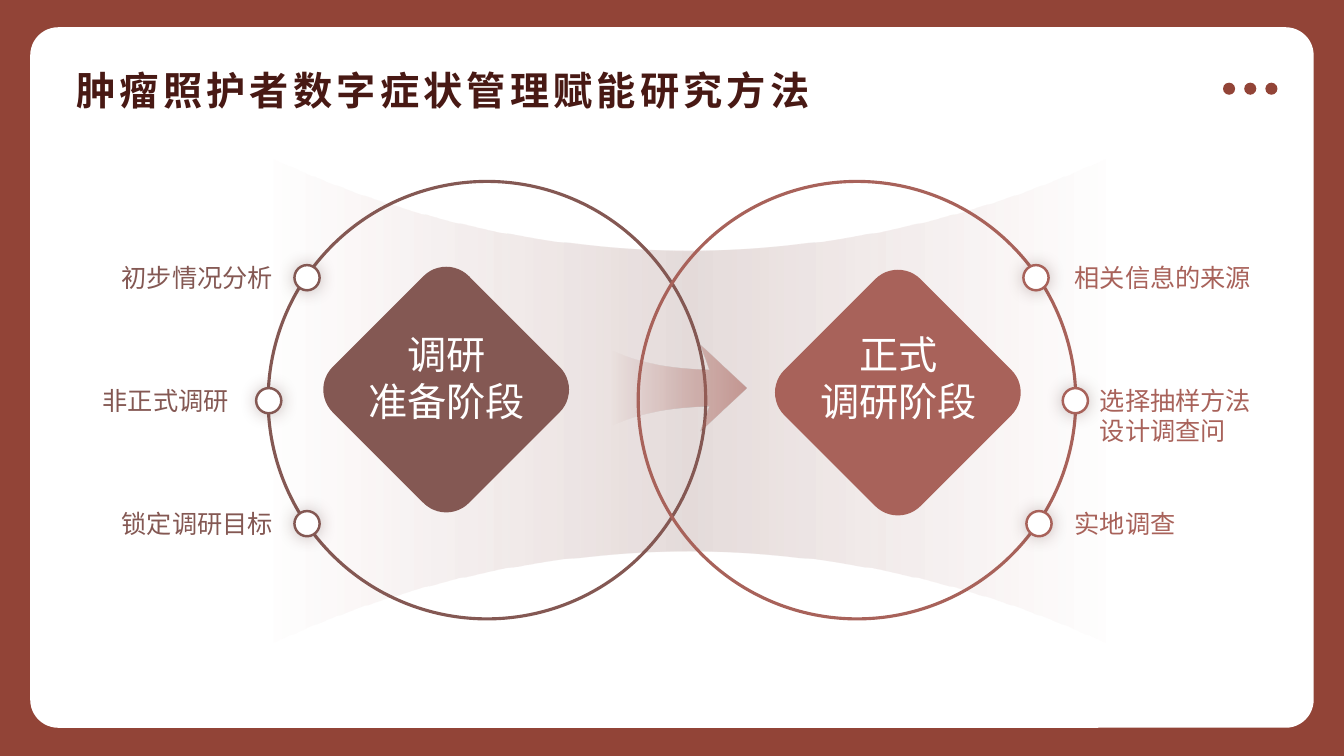
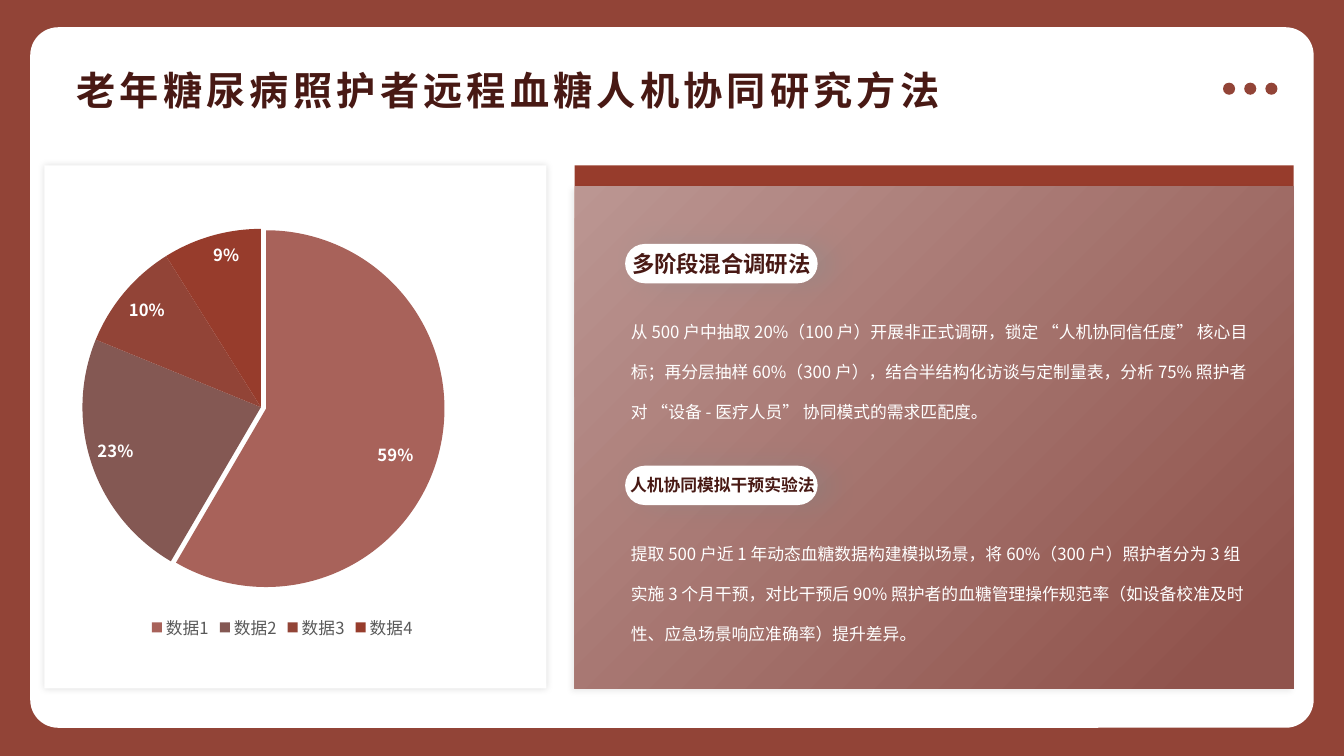
from lxml import etree
from pptx import Presentation
from pptx.chart.data import CategoryChartData
from pptx.dml.color import RGBColor
from pptx.enum.chart import XL_CHART_TYPE, XL_LABEL_POSITION, XL_LEGEND_POSITION
from pptx.enum.shapes import MSO_SHAPE
from pptx.enum.text import MSO_ANCHOR, MSO_AUTO_SIZE, PP_ALIGN
from pptx.oxml import parse_xml
from pptx.oxml.ns import nsdecls, qn
from pptx.util import Inches, Pt

RECT = MSO_SHAPE.RECTANGLE
ROUND_RECT = MSO_SHAPE.ROUNDED_RECTANGLE
PILL = MSO_SHAPE.ROUND_2_SAME_RECTANGLE
OVAL = MSO_SHAPE.OVAL
LEFT, CENTER = PP_ALIGN.LEFT, PP_ALIGN.CENTER
INSIDE_END = XL_LABEL_POSITION.INSIDE_END

FONT = "Noto Sans CJK SC"
COLORS = {
    "frame": "924437", "white": "FFFFFF", "title": "481914",
    "brown": "845853", "rose": "A8625A", "red": "973C2C",
    "panel_light": "BB9692", "panel_dark": "90534C",
    "dot_shadow": "54312D", "pill_shadow": "38A0AB",
    "black": "000000", "legend": "595959",
}
# colour, opacity %, blur pt, distance pt, direction in degrees
SHADOWS = {
    "dot": ("dot_shadow", 30, 12, 0, 0),
    "card": ("black", 12, 5, 0, 0),
    "panel": ("black", 8, 4, 3, 135),
    "pill": ("pill_shadow", 12, 20, 10, 0),
}

STAGES = [
    {"color": "brown", "circle": 2.66, "diamond": (3.47, 2.91),
     "name": ["调研", "准备阶段"], "name_left": 3.55,
     "steps": [(2.92, 1.11, 1.7, ["初步情况分析"]),
               (2.54, 0.92, 1.45, ["非正式调研"]),
               (2.92, 1.11, 1.7, ["锁定调研目标"])]},
    {"color": "rose", "circle": 6.33, "diamond": (7.95, 2.94),
     "name": ["正式", "调研阶段"], "name_left": 8.03,
     "steps": [(10.15, 10.56, 1.95, ["相关信息的来源"]),
               (10.54, 10.81, 1.7, ["选择抽样方法", "设计调查问"]),
               (10.18, 10.56, 1.2, ["实地调查"])]},
]

METHODS = [
    {"top": 2.42, "name": "多阶段混合调研法", "size": 16, "name_box": (6.17, 2.43, 2.08, 0.37),
     "align": LEFT, "height": 1.31,
     "text": "从 500 户中抽取 20%（100 户）开展非正式调研，锁定 “人机协同信任度” 核心目标；"
             "再分层抽样 60%（300 户），结合半结构化访谈与定制量表，分析 75% 照护者对 "
             "“设备 - 医疗人员” 协同模式的需求匹配度。"},
    {"top": 4.62, "name": "人机协同模拟干预实验法", "size": 12, "name_box": (6.14, 4.66, 2.05, 0.3),
     "align": CENTER, "height": 1.72,
     "text": "提取 500 户近 1 年动态血糖数据构建模拟场景，将 60%（300 户）照护者分为 3 组"
             "实施 3 个月干预，对比干预后 90% 照护者的血糖管理操作规范率"
             "（如设备校准及时性、应急场景响应准确率）提升差异。"},
]


def rgb(name):
    return RGBColor.from_string(COLORS[name])


def style(font, size, color, bold=False):
    for key, value in {"size": Pt(size), "bold": bold, "name": FONT}.items():
        setattr(font, key, value)
    font.color.rgb = rgb(color)


def add_east_asian_font(root):
    """Use each Latin typeface for Chinese characters too."""
    for latin in list(root.iter(qn("a:latin"))):
        latin.addnext(etree.Element(qn("a:ea"), typeface=latin.get("typeface")))


def color_xml(color, opacity):
    return (f'<a:srgbClr val="{COLORS[color]}">'
            f'<a:alpha val="{opacity * 1000}"/></a:srgbClr>')


def add_shadow(sp, name):
    color, opacity, blur, dist, angle = SHADOWS[name]
    effects = sp._element.spPr.find(qn("a:effectLst"))
    effects.append(parse_xml(
        f'<a:outerShdw {nsdecls("a")} blurRad="{Pt(blur)}" dist="{Pt(dist)}" '
        f'dir="{angle * 60000}" algn="ctr" rotWithShape="0">'
        f'{color_xml(color, opacity)}</a:outerShdw>'))


def set_gradient(sp, stops, angle=0):
    """Fill with stops of (position %, colour, opacity %)."""
    sp.fill.solid()
    solid = sp._element.spPr.find(qn("a:solidFill"))
    gs = "".join(f'<a:gs pos="{pos * 1000}">{color_xml(color, opacity)}</a:gs>'
                 for pos, color, opacity in stops)
    solid.getparent().replace(solid, parse_xml(
        f'<a:gradFill {nsdecls("a")} rotWithShape="1"><a:gsLst>{gs}</a:gsLst>'
        f'<a:lin ang="{angle * 60000}" scaled="0"/></a:gradFill>'))


def add_shape(s, kind, box, fill=None, line=None, shadow=None, adj=()):
    sp = s.shapes.add_shape(kind, *map(Inches, box))
    for i, value in enumerate(adj):
        sp.adjustments[i] = value
    if fill:
        sp.fill.solid()
        sp.fill.fore_color.rgb = rgb(fill)
    else:
        sp.fill.background()
    if line:
        color, width = line
        sp.line.color.rgb = rgb(color)
        sp.line.width = Pt(width)
    else:
        sp.line.fill.background()
    sp.shadow.inherit = False
    if shadow:
        add_shadow(sp, shadow)
    return sp


def add_text(s, box, lines, size, color, bold=False, align=LEFT, wrap=False, spacing=None):
    tb = s.shapes.add_textbox(*map(Inches, box))
    tf = tb.text_frame
    tf.word_wrap = wrap
    tf.auto_size = MSO_AUTO_SIZE.SHAPE_TO_FIT_TEXT
    for i, line in enumerate(lines):
        p = tf.add_paragraph() if i else tf.paragraphs[0]
        p.alignment = align
        if spacing:
            p.line_spacing = spacing
        r = p.add_run()
        r.text = line
        style(r.font, size, color, bold)


def mirror(points, axis, center):
    """Run on with the reflected points; a point on the axis is used once."""
    flipped = [tuple(2 * center - v if i == axis else v for i, v in enumerate(p))
               for p in reversed(points)]
    return points + flipped[points[-1][axis] == center:]


def add_outline(s, points, kinds, stops):
    """Draw L segments (one point each) and C segments (three points each)."""
    pts = [(Inches(x), Inches(y)) for x, y in points]
    builder = s.shapes.build_freeform(*pts[0])
    builder.add_line_segments(pts[1:], close=True)
    sp = builder.convert_to_shape()
    lines = sp._element.iter(qn("a:lnTo"))
    lines = iter(list(lines))
    for kind in kinds:
        first = next(lines)
        if kind == "C":
            curve = etree.Element(qn("a:cubicBezTo"))
            first.addprevious(curve)
            for segment in (first, next(lines), next(lines)):
                curve.append(segment[0])
                segment.getparent().remove(segment)
    set_gradient(sp, stops)
    sp.line.fill.background()
    sp.shadow.inherit = False


def build_layout(layout, s):
    """Give the layout its background, card and dots, and place its title."""
    layout.background.fill.solid()
    layout.background.fill.fore_color.rgb = rgb("frame")
    title, *others = layout.placeholders
    for placeholder in others:
        layout.shapes._spTree.remove(placeholder._element)
    parts = [add_shape(s, ROUND_RECT, (0.3, 0.27, 12.73, 6.95), "white", adj=[0.04])]
    parts += [add_shape(s, OVAL, (12.13 + 0.21 * i, 0.82, 0.12, 0.12), "frame")
              for i in range(3)]
    for sp in parts:
        layout.shapes._spTree.append(sp._element)
    box = dict(zip(("left", "top", "width", "height"), (0.66, 0.51, 12, 0.77)))
    for key, value in box.items():
        setattr(title, key, Inches(value))


def set_title(s, text):
    tf = s.shapes.title.text_frame
    tf.auto_size = MSO_AUTO_SIZE.NONE
    tf.vertical_anchor = MSO_ANCHOR.MIDDLE
    p = tf.paragraphs[0]
    p.alignment = LEFT
    r = p.add_run()
    r.text = text
    style(r.font, 28, "title", True)
    r.font._element.set("spc", "300")


def add_stage_circle(s, stage):
    color = stage["color"]
    add_shape(s, OVAL, (stage["circle"], 1.8, 4.34, 4.34), line=(color, 2.25))
    for i, (dot_left, left, width, lines) in enumerate(stage["steps"]):
        top = 2.63 + 1.22 * i
        add_shape(s, OVAL, (dot_left, top, 0.25, 0.25), "white", (color, 1.75), "dot")
        add_text(s, (left, top - 0.08, width, 0.1 + 0.3 * len(lines)), lines, 18, color)


def build_stages(s):
    set_title(s, "肿瘤照护者数字症状管理赋能研究方法")
    edge = [(2.67, 1.56), (3.02, 1.71), (4.17, 2.2), (5.47, 2.48), (6.83, 2.48)]
    waist = mirror(mirror(edge, 0, 6.83), 1, 3.97)
    add_outline(s, waist, "LCCLLLCCL", [(0, "rose", 0), (50, "brown", 21), (100, "rose", 0)])
    for stage in STAGES:
        diamond = add_shape(s, ROUND_RECT, (*stage["diamond"], 1.91, 1.91), stage["color"])
        diamond.rotation = 45
    for stage in STAGES:
        add_text(s, (stage["name_left"], 3.23, 1.76, 1.04), stage["name"], 28, "white",
                 align=CENTER)
    for stage in STAGES:
        add_stage_circle(s, stage)
    arrow = [(5.93, 3.39), (6.24, 3.61), (6.68, 3.66), (7.03, 3.67), (6.94, 3.42), (7.4, 3.85)]
    add_outline(s, mirror(arrow, 1, 3.85), "CLLLLC", [(10, "rose", 0), (100, "rose", 58)])


def layout_xml(target, **sizes):
    values = "".join(f'<c:{key} val="{value}"/>' for key, value in sizes.items())
    return parse_xml(f'<c:layout {nsdecls("c")}><c:manualLayout>{target}{values}'
                     '</c:manualLayout></c:layout>')


def add_pie(s):
    data = CategoryChartData()
    data.categories = [f"数据{i}" for i in range(1, 5)]
    data.add_series("Series 1", (59, 23, 10, 9))
    box = map(Inches, (0.44, 2.08, 4.72, 4.31))
    chart = s.shapes.add_chart(XL_CHART_TYPE.PIE, *box, data).chart
    chart.has_title = False
    style(chart.font, 10, "black")
    chart.has_legend = True
    chart.legend.position = XL_LEGEND_POSITION.BOTTOM
    chart.legend.include_in_layout = False
    style(chart.legend.font, 11.9, "legend")

    plot = chart.plots[0]
    plot.vary_by_categories = True
    series = plot.series[0]
    labels = series.data_labels
    for key, value in {"show_value": True, "show_percentage": False,
                       "number_format": '0"%"', "number_format_is_linked": False,
                       "position": INSIDE_END}.items():
        setattr(labels, key, value)
    style(labels.font, 11.9, "white", True)
    for i, color in enumerate(("rose", "brown", "frame", "red")):
        fill = series.points[i].format.fill
        fill.solid()
        fill.fore_color.rgb = rgb(color)

    root = chart._chartSpace
    first_label = series.points[0].data_label
    style(first_label.font, 11.9, "white", True)
    first_label.position = INSIDE_END
    index = root.find(".//" + qn("c:dLbl")).find(qn("c:idx"))
    index.addnext(etree.Element(qn("c:numFmt"), formatCode='0"%"', sourceLinked="0"))
    index.addnext(layout_xml("", x=-0.04, y=0.03))

    first_slice = root.find(".//" + qn("c:dPt"))
    explosion = etree.Element(qn("c:explosion"), val="3")
    first_slice.find(qn("c:spPr")).addprevious(explosion)
    area = root.find(".//" + qn("c:plotArea"))
    for old in area.findall(qn("c:layout")):
        area.remove(old)
    inner = '<c:layoutTarget val="inner"/><c:xMode val="edge"/><c:yMode val="edge"/>'
    area.insert(0, layout_xml(inner, x=0.08, y=0.04, w=0.75, h=0.83))
    add_east_asian_font(root)


def add_method(s, method):
    top = method["top"]
    add_text(s, (6.16, top + 0.52, 6.34, method["height"]), [method["text"]], 12, "white",
             wrap=True, spacing=2.0)
    add_shape(s, PILL, (6.2, top, 1.91, 0.39), "white", shadow="pill", adj=[0.5, 0.5])
    add_text(s, method["name_box"], [method["name"]], method["size"], "title", True,
             method["align"], wrap=True)


def build_methods(s):
    set_title(s, "老年糖尿病照护者远程血糖人机协同研究方法")
    add_shape(s, RECT, (0.44, 1.64, 4.98, 5.19), "white", shadow="card")
    add_pie(s)
    add_shape(s, RECT, (5.7, 1.64, 7.13, 2.3), "red")
    panel = add_shape(s, RECT, (5.7, 1.85, 7.13, 4.98), shadow="panel")
    set_gradient(panel, [(0, "panel_light", 100), (92, "panel_dark", 100)], 45)
    for method in METHODS:
        add_method(s, method)


def main():
    prs = Presentation()
    prs.slide_width, prs.slide_height = Inches(13.33), Inches(7.5)
    layout = prs.slide_layouts[5]
    slides = [prs.slides.add_slide(layout) for _ in range(2)]
    build_layout(layout, slides[0])
    for s, build in zip(slides, (build_stages, build_methods)):
        build(s)
        add_east_asian_font(s.shapes._spTree)
    prs.save("out.pptx")


if __name__ == "__main__":
    main()
